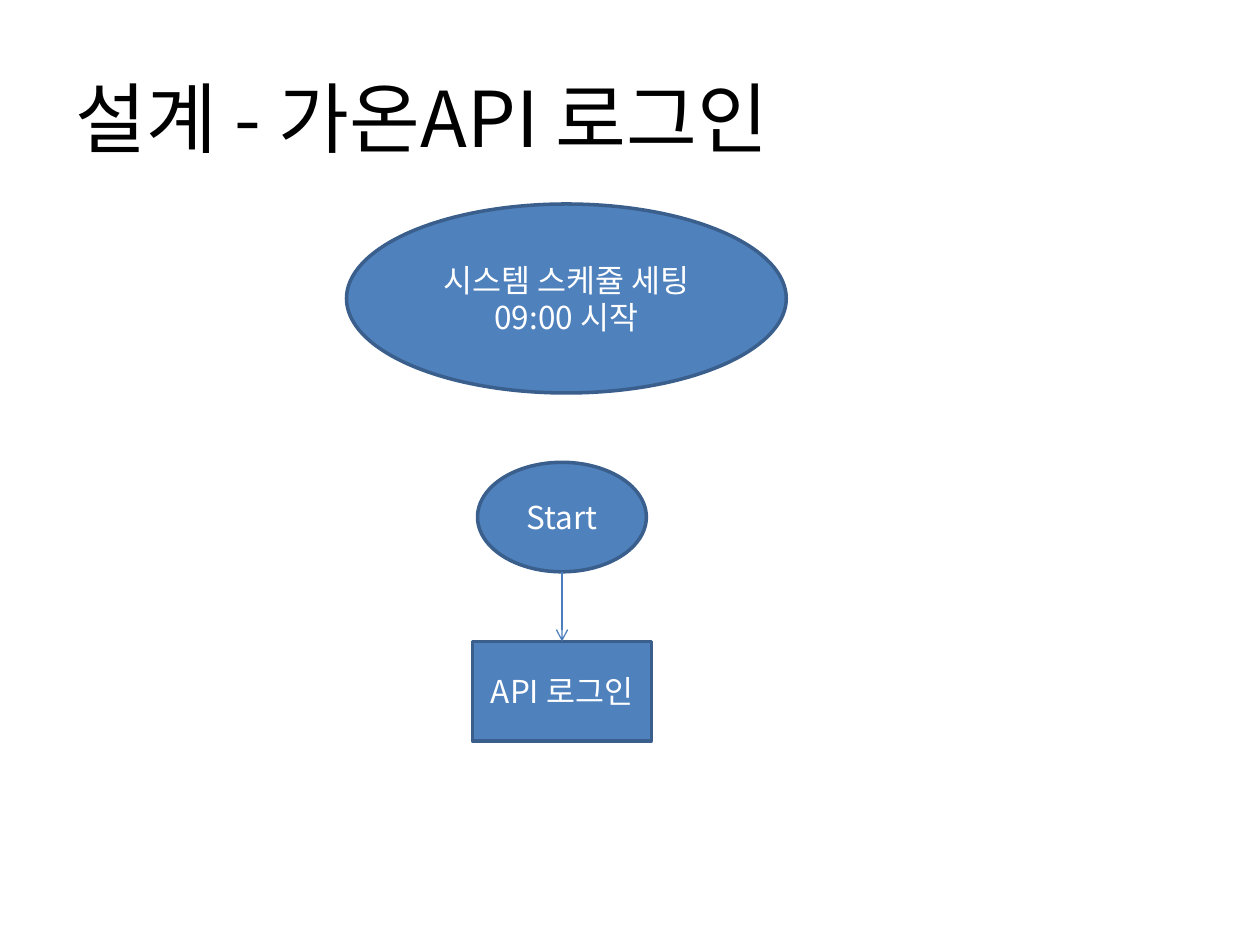
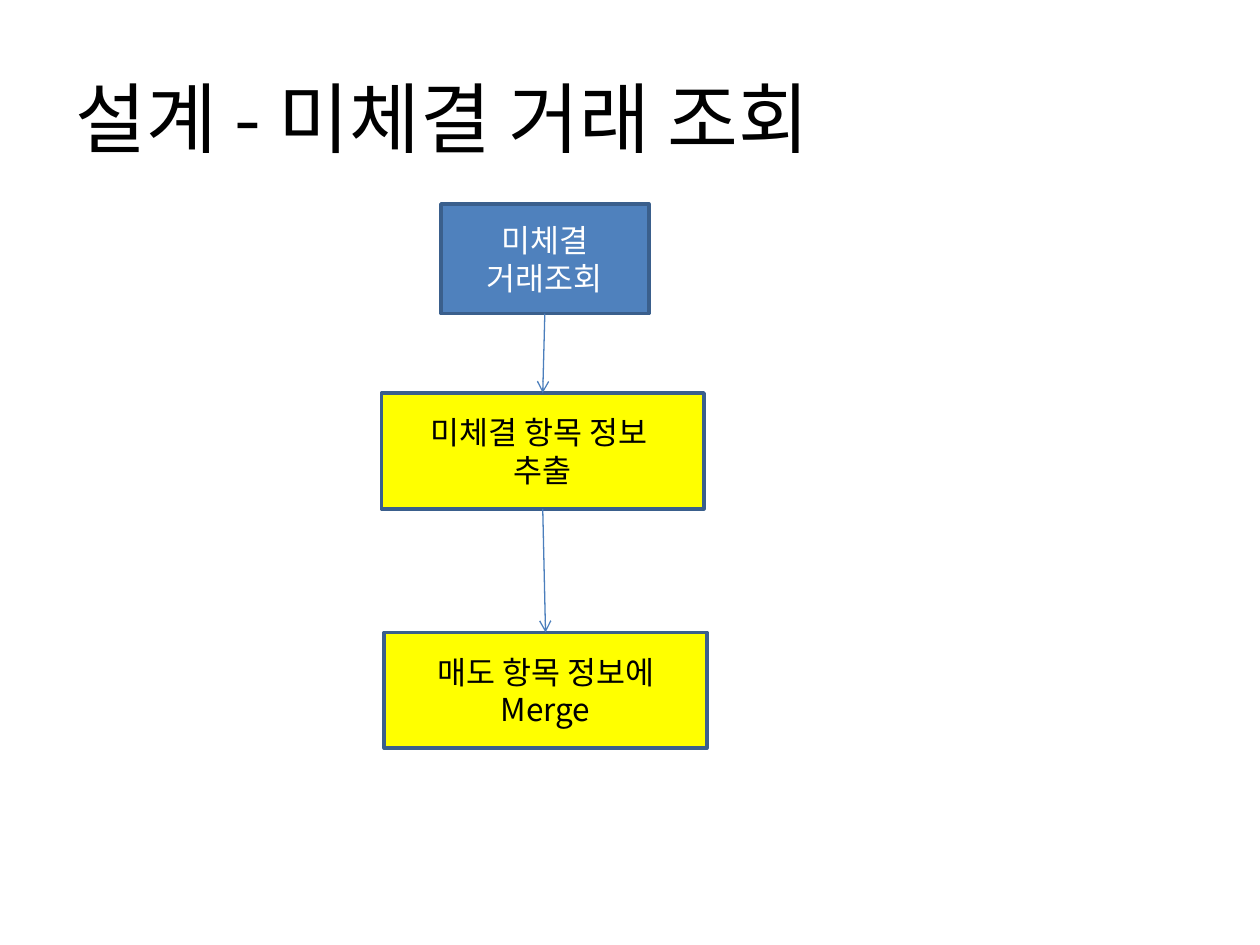
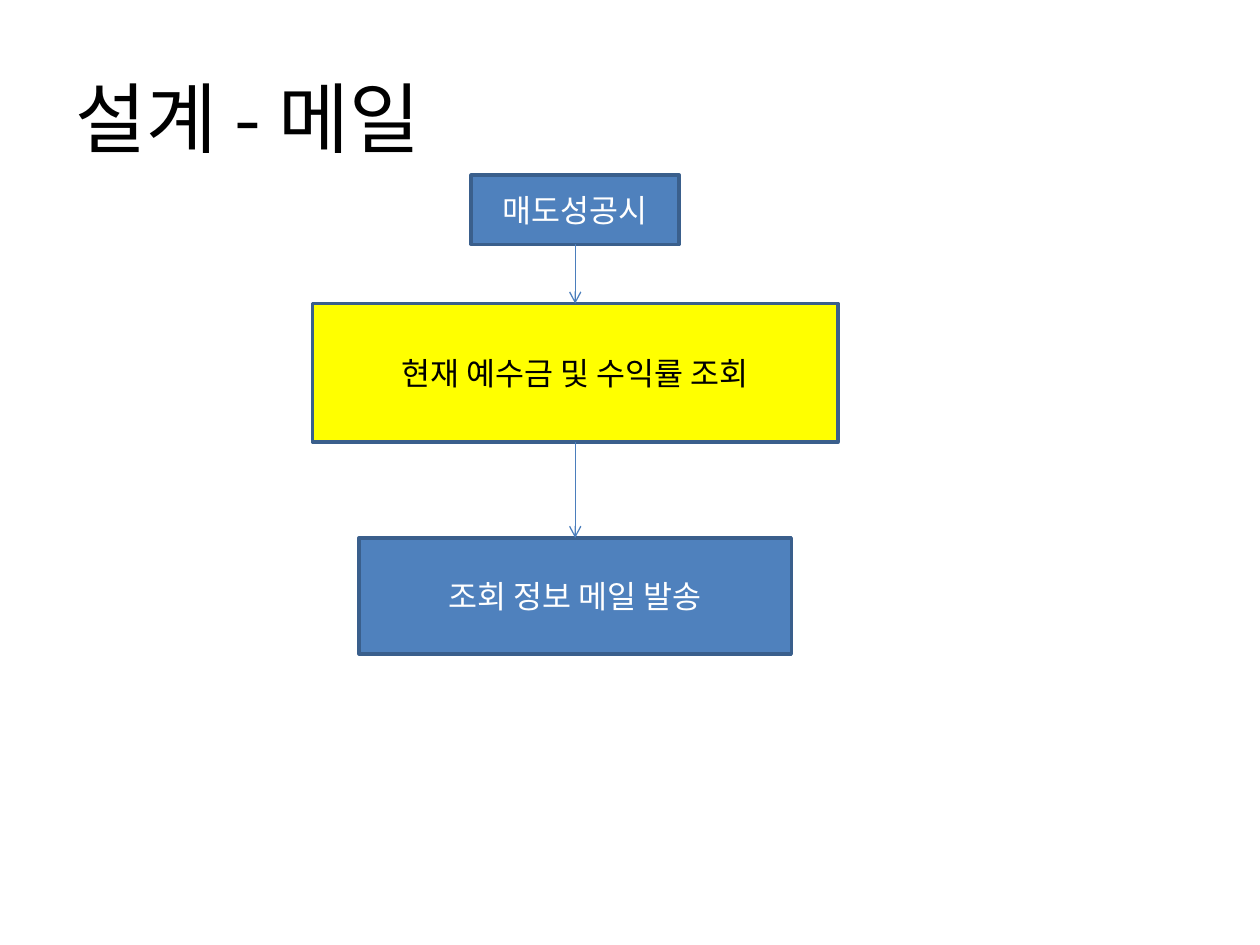
import pptx
import pptx.util
import pptx.dml.color
import pptx.enum.shapes
import pptx.enum.text
import pptx.oxml.ns
from collections import namedtuple

Pt = pptx.util.Pt
RGB = pptx.dml.color.RGBColor
SHAPE = pptx.enum.shapes.MSO_SHAPE
ALIGN = pptx.enum.text.PP_ALIGN
ANCHOR = pptx.enum.text.MSO_ANCHOR
qn = pptx.oxml.ns.qn

# Shared style
BLUE = RGB(0x4F, 0x81, 0xBD)
YELLOW = RGB(0xFF, 0xFF, 0x00)
BORDER = RGB(0x3A, 0x5F, 0x8C)
ARROW = RGB(0x4B, 0x7E, 0xBC)
WHITE = RGB(0xFF, 0xFF, 0xFF)
BLACK = RGB(0x00, 0x00, 0x00)
TEXT_ON = {BLUE: WHITE, YELLOW: BLACK}
FONT = "Noto Sans CJK KR"
TITLE_BOX = (36, 21.6, 648, 90)

# A step is centred in its flow box, moved sideways by dx; top counts from the box.
# follows: an arrow leads here from the step before.
Step = namedtuple("Step", "kind text fill dx top w h follows", defaults=(True,))


def style_text(tf, size, color, align):
    tf.word_wrap = True
    tf.auto_size = pptx.enum.text.MSO_AUTO_SIZE.NONE
    tf.vertical_anchor = ANCHOR.MIDDLE
    for p in tf.paragraphs:
        p.alignment = align
        for r in p.runs:
            r.font.size = Pt(size)
            r.font.name = FONT
            r.font.color.rgb = color
            # Korean glyphs take the East Asian font
            latin = r.font._element.find(qn("a:latin"))
            latin.addnext(latin.makeelement(qn("a:ea"), {"typeface": FONT}))


def add_title(s, box, text):
    sp = s.shapes.title
    sp.left, sp.top, sp.width, sp.height = map(Pt, box)
    sp.text_frame.text = text
    style_text(sp.text_frame, 44, BLACK, ALIGN.LEFT)


def add_arrow(s, x1, y1, x2, y2):
    c = s.shapes.add_connector(pptx.enum.shapes.MSO_CONNECTOR.STRAIGHT,
                               Pt(x1), Pt(y1), Pt(x2), Pt(y2))
    c.line.color.rgb = ARROW
    c.line.width = Pt(0.75)
    ln = c.line._get_or_add_ln()
    ln.append(ln.makeelement(qn("a:tailEnd"), {"type": "arrow"}))
    ln.addnext(ln.makeelement(qn("a:effectLst"), {}))


def add_flow(s, box, steps):
    left, top, width = box
    previous = None
    for step in steps:
        x, y = left + width / 2 + step.dx, top + step.top
        # Node
        sp = s.shapes.add_shape(step.kind, Pt(x - step.w / 2), Pt(y),
                                Pt(step.w), Pt(step.h))
        sp.shadow.inherit = False
        sp.fill.solid()
        sp.fill.fore_color.rgb = step.fill
        sp.line.color.rgb = BORDER
        sp.line.width = Pt(2)
        sp.text_frame.text = step.text
        style_text(sp.text_frame, 18, TEXT_ON[step.fill], ALIGN.CENTER)
        # Arrow from the bottom of the step before
        if previous and step.follows:
            add_arrow(s, *previous, x, y)
        previous = (x, y + step.h)


def add_flow_slide(prs, title, box, steps):
    s = prs.slides.add_slide(prs.slide_layouts[5])
    add_title(s, TITLE_BOX, title)
    add_flow(s, box, steps)


prs = pptx.Presentation()
prs.slide_width, prs.slide_height = Pt(720), Pt(540)

# Login
add_flow_slide(prs, "설계 - 가온API 로그인", (198, 116.6, 251.3), [
    Step(SHAPE.OVAL, "시스템 스케쥴 세팅\n09:00 시작", BLUE, 0, 0, 251.3, 108),
    Step(SHAPE.OVAL, "Start", BLUE, -2.5, 147.6, 96.5, 62.6, False),
    Step(SHAPE.RECTANGLE, "API 로그인", BLUE, -2.5, 249.9, 102.2, 56.9),
])

# Open orders
add_flow_slide(prs, "설계 - 미체결 거래 조회", (219.2, 116.6, 184.3), [
    Step(SHAPE.RECTANGLE, "미체결 거래조회", BLUE, 0, 0, 118.8, 62.6),
    Step(SHAPE.RECTANGLE, "미체결 항목 정보 \n추출", YELLOW, -1.2, 108, 184.3, 66.2),
    Step(SHAPE.RECTANGLE, "매도 항목 정보에\nMerge", YELLOW, 0.4, 244.8, 184.3, 66.2),
])

# Mail
add_flow_slide(prs, "설계 - 메일", (178.6, 100.1, 300.2), [
    Step(SHAPE.RECTANGLE, "매도성공시", BLUE, 0, 0, 118.8, 39.6),
    Step(SHAPE.FLOWCHART_PROCESS, "현재 예수금 및 수익률 조회", YELLOW, 0, 73.4, 300.2, 79.2),
    Step(SHAPE.FLOWCHART_PROCESS, "조회 정보 메일 발송", BLUE, 0, 207.3, 247, 66.2),
])

prs.save("out.pptx")
